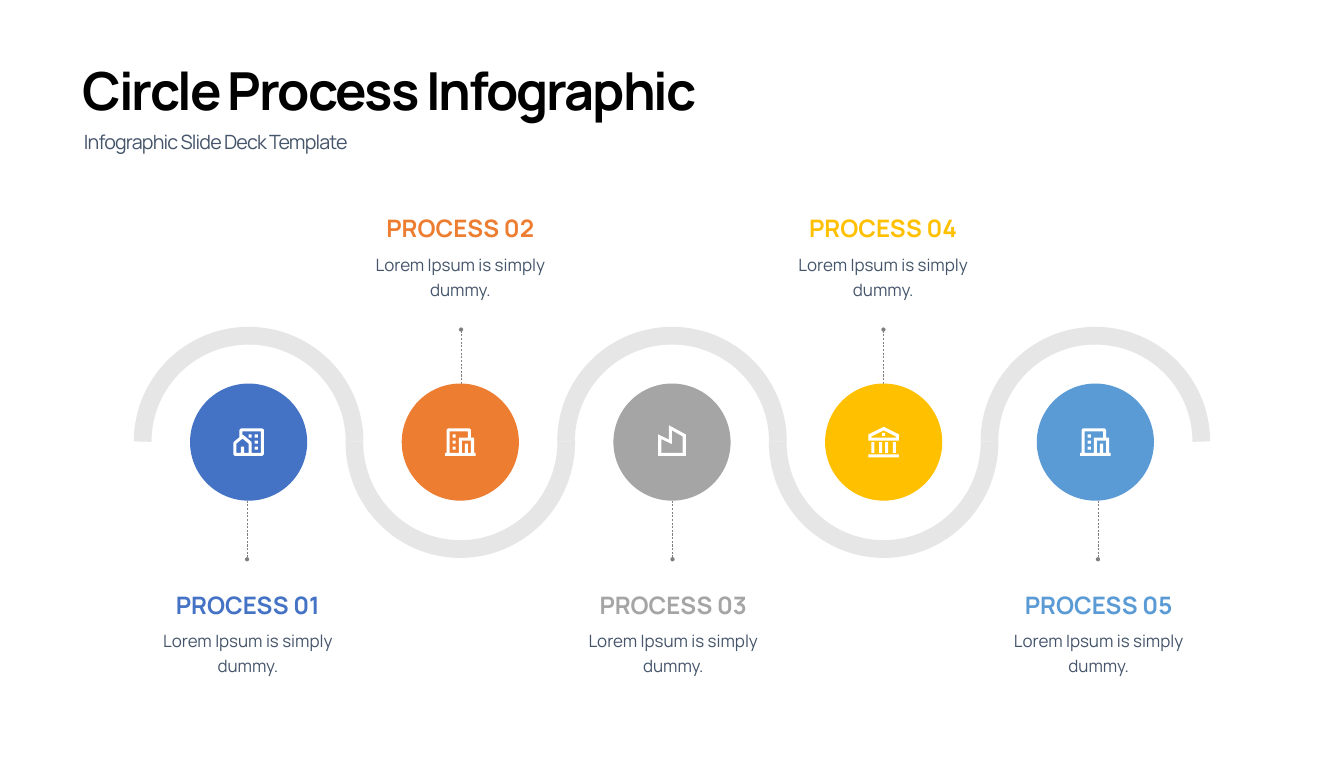
from math import cos, pi, sin

from lxml.etree import SubElement
from pptx import Presentation
from pptx.dml.color import RGBColor
from pptx.enum.dml import MSO_LINE
from pptx.enum.shapes import MSO_CONNECTOR as Connector, MSO_SHAPE as Shape
from pptx.enum.text import MSO_ANCHOR as Anchor, MSO_AUTO_SIZE as AutoSize, PP_ALIGN as Align
from pptx.oxml.ns import qn
from pptx.util import Inches, Pt

SLATE, WHITE, TRACK, LEADER = "44546A", "FFFFFF", "E6E6E6", "808080"
PITCH, FIRST_CENTRE, MIDDLE = 4.155, 4.88, 8.67
CIRCLE, ARC_RADIUS, UNIT = 2.3, 2.08, 0.03

deck = Presentation()
deck.slide_width, deck.slide_height = Inches(26.38), Inches(14.96)
page = deck.slides.add_slide(deck.slide_layouts[6])


def paint(fill, colour):
    fill.solid()
    fill.fore_color.rgb = RGBColor.from_string(colour)


def add_text(words, area, colour, font_format, frame_format, para_format, tracking=0):
    box = page.shapes.add_textbox(*map(Inches, area))
    frame = box.text_frame
    para = frame.paragraphs[0]
    span = para.add_run()
    span.text = words
    for target, values in ((frame, frame_format), (para, para_format), (span.font, font_format)):
        for name, value in values.items():
            setattr(target, name, value)
    paint(span.font.fill, colour)
    if tracking:
        span.font._element.set("spc", str(tracking))


# Text formats
heading_font = {"name": "Manrope", "size": Pt(74), "bold": True}
subtitle_font = {"name": "Manrope", "size": Pt(27.8)}
label_font = {"name": "Manrope", "size": Pt(34), "bold": True}
body_font = {"name": "Manrope", "size": Pt(24)}
heading_frame = {"word_wrap": True}
body_frame = {
    "word_wrap": True, "auto_size": AutoSize.SHAPE_TO_FIT_TEXT,
    "margin_left": Inches(0.16), "margin_right": Inches(0.16),
    "margin_top": Inches(0.08), "margin_bottom": Inches(0.08),
}
label_frame = {**body_frame, "vertical_anchor": Anchor.BOTTOM}
label_para = {"alignment": Align.CENTER}
body_para = {**label_para, "line_spacing": Pt(36)}

# Icons on a 0.03 inch grid: top, size, outlines, rectangles (x, y, width, height)
home = (8.41, 20, [
    [(19, 18), (1, 18), (0, 17), (0, 9.7), (0.4, 8.8), (4, 5.8), (4, 1), (5, 0),
     (19, 0), (20, 1), (20, 17)],
    [(7, 16), (10, 16), (10, 10), (6, 6.7), (2, 10), (2, 16), (5, 16), (5, 12), (7, 12)],
    [(12, 16), (18, 16), (18, 2), (6, 2), (6, 4.3), (6.7, 4.5), (11.7, 8.7), (12, 9.6)],
], [(x, y, 2, 2) for x, y in ((14, 4), (14, 8), (14, 12), (10, 4))])
office = (8.41, 20, [
    [(20, 18), (0, 18), (0, 16), (1, 16), (1, 1), (2, 0), (16, 0), (17, 1), (17, 6),
     (19, 6), (19, 16), (20, 16)],
    [(15, 16), (17, 16), (17, 8), (11, 8), (11, 16), (13, 16), (13, 10), (15, 10)],
    [(15, 6), (15, 2), (3, 2), (3, 16), (9, 16), (9, 6)],
], [(5, y, 2, 2) for y in (4, 8, 12)])
factory = (8.35, 18, [
    [(7, 9.3), (7, 0), (18, 6), (18, 20), (0, 20), (0, 6)],
    [(9, 3.3), (9, 12.3), (2, 9), (2, 18), (16, 18), (16, 7.3)],
], [])
bank = (8.38, 20, [
    [(0, 5), (10, 0), (20, 5), (20, 9), (0, 9)],
    [(2, 6.3), (2, 7), (18, 7), (18, 6.3), (10, 2.3)],
], [(0, 18, 20, 2), (9, 4, 2, 2)] + [(x, 10, 2, 7) for x in (2, 7, 11, 16)])

# Heading
add_text("Circle Process Infographic", (1.52, 1.02, 20.24, 1.38), "000000",
         heading_font, heading_frame, {"line_spacing": Pt(94)}, -290)
add_text("Infographic Slide Deck Template", (1.55, 2.37, 19.24, 0.65), SLATE,
         subtitle_font, heading_frame, {"line_spacing": Pt(42)}, -120)

# Processes: colour, icon, leader x, text left
processes = [
    ("4472C4", home, 4.85, 2.85),
    ("ED7D31", office, 9.05, 7.02),
    ("A5A5A5", factory, 13.2, 11.2),
    ("FFC000", bank, 17.34, 15.32),
    ("5B9BD5", office, 21.55, 19.55),
]
for index, (colour, icon, leader_x, text_left) in enumerate(processes):
    centre = FIRST_CENTRE + index * PITCH
    text_above = index % 2 == 1

    # Dotted leader, partly behind its circle
    start, end = (8.36, 6.47) if text_above else (10.98, 9.09)
    leader = page.shapes.add_connector(
        Connector.STRAIGHT, Inches(leader_x), Inches(start), Inches(leader_x), Inches(end))
    paint(leader.line.fill, LEADER)
    leader.line.width = Pt(0.75)
    leader.line.dash_style = MSO_LINE.DASH
    for tag in ("a:headEnd", "a:tailEnd"):
        SubElement(leader.line._get_or_add_ln(), qn(tag), type="oval")
    SubElement(leader._element.spPr, qn("a:effectLst"))

    # Circle
    circle = page.shapes.add_shape(
        Shape.OVAL, Inches(centre - CIRCLE / 2), Inches(7.53), Inches(CIRCLE), Inches(CIRCLE))
    circle.shadow.inherit = False
    paint(circle.fill, colour)
    circle.line.fill.background()

    # Half of the winding track
    rise = 2.11 if text_above else -2.08
    curve = [(Inches(centre - ARC_RADIUS * cos(pi * step / 60)),
              Inches(MIDDLE + rise * sin(pi * step / 60))) for step in range(61)]
    builder = page.shapes.build_freeform(*curve[0])
    builder.add_line_segments(curve[1:], close=False)
    track = builder.convert_to_shape()
    track.shadow.inherit = False
    track.fill.background()
    paint(track.line.fill, TRACK)
    track.line.width = Pt(25)

    # Icon
    top, size, outlines, rectangles = icon
    left = centre - size * UNIT / 2
    corners = [[(x, y), (x + w, y), (x + w, y + h), (x, y + h)] for x, y, w, h in rectangles]
    builder = None
    for outline in outlines + corners:
        points = [(Inches(left + x * UNIT), Inches(top + y * UNIT)) for x, y in outline]
        if builder is None:
            builder = page.shapes.build_freeform(*points[0])
        else:
            builder.move_to(*points[0])
        builder.add_line_segments(points[1:], close=True)
    symbol = builder.convert_to_shape()
    symbol.shadow.inherit = False
    paint(symbol.fill, WHITE)
    symbol.line.fill.background()

    # Label and description
    label_top, body_top = (4.1, 4.81) if text_above else (11.5, 12.19)
    add_text(f"PROCESS {index + 1:02}", (text_left, label_top, 4.03, 0.73), colour,
             label_font, label_frame, label_para)
    add_text("Lorem Ipsum is simply dummy.", (text_left, body_top, 4.03, 1.14), SLATE,
             body_font, body_frame, body_para)

deck.save("out.pptx")
